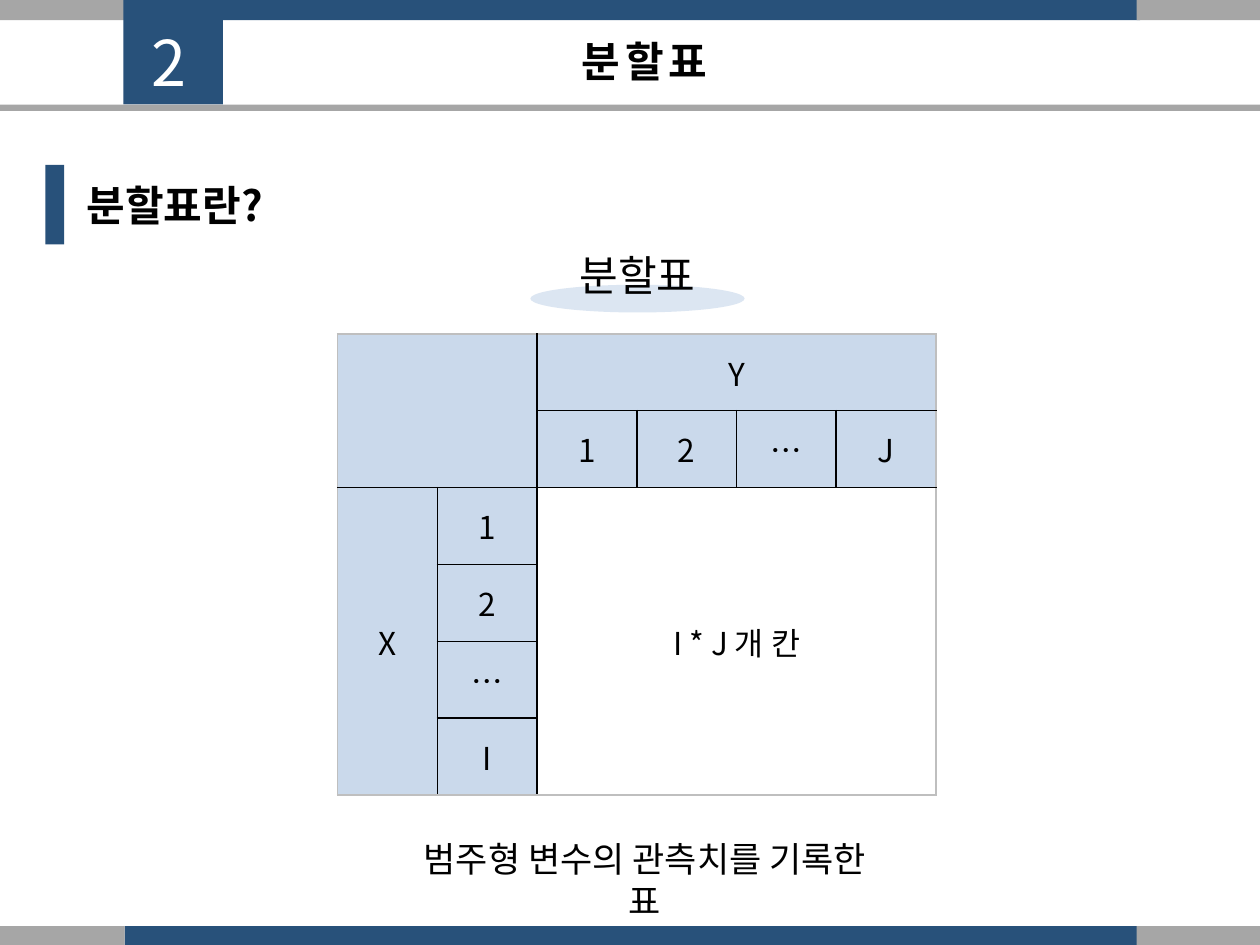
from itertools import product

from lxml.etree import SubElement
from pptx import Presentation
from pptx.dml.color import RGBColor
from pptx.enum.shapes import MSO_SHAPE as Shape
from pptx.enum.text import MSO_ANCHOR as Anchor, PP_ALIGN as Align
from pptx.oxml.ns import qn
from pptx.util import Inches, Pt

FONT = "Noto Sans CJK KR"
NAVY, GREY, PALE, CELL = "28517A", "A6A6A6", "DCE6F2", "CAD9EB"
BLACK, WHITE, FRAME = "000000", "FFFFFF", "BFBFBF"


def rgb(value):
    return RGBColor.from_string(value)


def write(frame, text, size, color=BLACK, bold=False, spacing=0,
          align=Align.CENTER, anchor=Anchor.TOP):
    frame.text = text
    frame.word_wrap = True
    frame.vertical_anchor = anchor
    paragraph = frame.paragraphs[0]
    paragraph.alignment = align
    for run in paragraph.runs:
        font = run.font
        font.name, font.size, font.bold = FONT, Pt(size), bold
        font.color.rgb = rgb(color)
        props = run._r.get_or_add_rPr()
        SubElement(props, qn("a:ea")).set("typeface", FONT)
        if spacing:
            props.set("spc", str(spacing * 100))


def add_block(slide, left, top, width, height, color, kind=Shape.RECTANGLE):
    block = slide.shapes.add_shape(
        kind, Inches(left), Inches(top), Inches(width), Inches(height))
    block.shadow.inherit = False
    block.fill.solid()
    block.fill.fore_color.rgb = rgb(color)
    block.line.fill.background()


def add_label(slide, left, top, width, height, text, size, **style):
    label = slide.shapes.add_textbox(
        Inches(left), Inches(top), Inches(width), Inches(height))
    write(label.text_frame, text, size, **style)


def add_edge_band(slide, top):
    """Navy strip with a grey end on each side."""
    for left, width, color in ((0.99, 8.06, NAVY), (0, 0.99, GREY), (9.02, 0.98, GREY)):
        add_block(slide, left, top, width, 0.16, color)


def add_header(slide, number, title):
    add_block(slide, 0.98, 0, 0.79, 0.83, NAVY)
    heading = slide.shapes.title
    heading.left, heading.top = Inches(3.03), Inches(0.23)
    heading.width, heading.height = Inches(4.17), Inches(0.5)
    write(heading.text_frame, title, 24, bold=True, spacing=3)
    add_block(slide, 0, 0.83, 10, 0.05, GREY)
    add_label(slide, 0.91, 0.14, 0.87, 0.71, number, 36, color=WHITE, spacing=3)


def add_section_heading(slide, left, top, text):
    add_block(slide, left, top, 0.15, 0.63, NAVY)
    add_label(slide, left + 0.23, top, 3.7, 0.63, text, 24, bold=True,
              align=Align.LEFT, anchor=Anchor.MIDDLE)


def add_table_caption(slide, left, top, text):
    add_block(slide, left, top + 0.33, 1.7, 0.22, PALE, Shape.OVAL)
    add_label(slide, left + 0.08, top, 1.54, 0.5, text, 24)


def add_border(cell, side, color):
    line = SubElement(cell._tc.get_or_add_tcPr(), qn("a:ln" + side), w=str(Pt(1)))
    if color:
        fill = SubElement(line, qn("a:solidFill"))
        SubElement(fill, qn("a:srgbClr"), val=color)
    else:
        SubElement(line, qn("a:noFill"))


def fill_region(table, row, col, height, width, text, color):
    """Merge one region, then set its borders, fill and text."""
    origin = table.cell(row, col)
    bottom, right = row + height - 1, col + width - 1
    if height * width > 1:
        origin.merge(table.cell(bottom, right))
    last_row, last_col = len(table.rows) - 1, len(table.columns) - 1
    for r, c in product(range(row, bottom + 1), range(col, right + 1)):
        cell = table.cell(r, c)
        edges = (("L", c == col, col == 0), ("R", c == right, right == last_col),
                 ("T", r == row, row == 0), ("B", r == bottom, bottom == last_row))
        for side, on_edge, outer in edges:
            visible = on_edge or (r, c) == (row, col)
            add_border(cell, side, (FRAME if outer else BLACK) if visible else None)
        cell.fill.solid()
        cell.fill.fore_color.rgb = rgb(color)
    write(origin.text_frame, text, 18)
    origin.vertical_anchor = Anchor.MIDDLE


def add_contingency_table(slide, left, top, width, height):
    x_levels, y_levels = ("1", "2", "…", "I"), ("1", "2", "…", "J")
    rows, cols = len(x_levels), len(y_levels)
    table = slide.shapes.add_table(
        rows + 2, cols + 2, Inches(left), Inches(top), Inches(width), Inches(height)).table
    table.first_row = table.horz_banding = False
    regions = [(0, 0, 2, 2, "", CELL), (0, 2, 1, cols, "Y", CELL),
               (2, 0, rows, 1, "X", CELL), (2, 2, rows, cols, "I * J 개 칸", WHITE)]
    regions += [(1, 2 + i, 1, 1, level, CELL) for i, level in enumerate(y_levels)]
    regions += [(2 + i, 1, 1, 1, level, CELL) for i, level in enumerate(x_levels)]
    for region in regions:
        fill_region(table, *region)


def main():
    deck = Presentation()
    deck.slide_width, deck.slide_height = Inches(10), Inches(7.5)
    slide = deck.slides.add_slide(deck.slide_layouts[5])
    add_edge_band(slide, 0)
    add_edge_band(slide, 7.35)
    add_header(slide, "2", "분할표")
    add_section_heading(slide, 0.36, 1.31, "분할표란?")
    add_table_caption(slide, 4.21, 1.93, "분할표")
    add_contingency_table(slide, 2.68, 2.65, 4.75, 3.66)
    add_label(slide, 3.17, 6.6, 3.9, 0.44, "범주형 변수의 관측치를 기록한 표", 20)
    deck.save("out.pptx")


if __name__ == "__main__":
    main()
